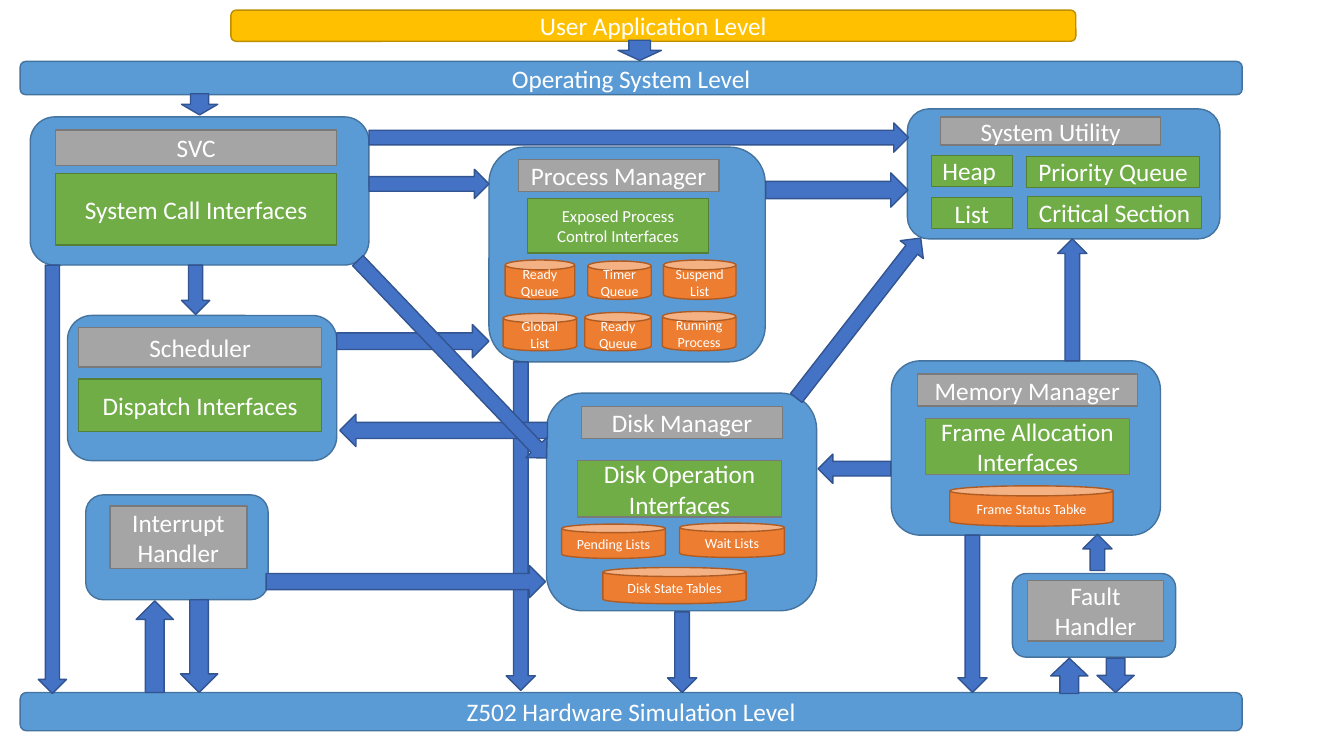
from pptx import Presentation
from pptx.dml.color import RGBColor
from pptx.enum.shapes import MSO_SHAPE
from pptx.enum.text import MSO_ANCHOR, PP_ALIGN
from pptx.util import Inches, Pt

COLORS = {
    "blue": "5B9BD5", "blue_line": "43739E",
    "gray": "A5A5A5", "gray_line": "7A7A7A",
    "green": "70AD47", "green_line": "538035",
    "orange": "ED7D31", "orange_line": "AF5C24",
    "gold": "FFC000", "gold_line": "BD8E00",
    "arrow": "4472C4", "arrow_line": "325491",
    "white": "FFFFFF",
}

# Style: preset shape, fill, line, text size
STYLES = {
    "panel": (MSO_SHAPE.ROUNDED_RECTANGLE, "blue", "blue_line", 18),
    "user": (MSO_SHAPE.ROUNDED_RECTANGLE, "gold", "gold_line", 18),
    "title": (MSO_SHAPE.RECTANGLE, "gray", "gray_line", 18),
    "interface": (MSO_SHAPE.RECTANGLE, "green", "green_line", 18),
    "small": (MSO_SHAPE.RECTANGLE, "green", "green_line", 12),
    "framed": (MSO_SHAPE.RECTANGLE, "green", "gray_line", 18),
    "store": (MSO_SHAPE.CAN, "orange", "orange_line", 10),
    "down": (MSO_SHAPE.DOWN_ARROW, "arrow", "arrow_line", 18),
    "right": (MSO_SHAPE.RIGHT_ARROW, "arrow", "arrow_line", 18),
}

prs = Presentation()
prs.slide_width, prs.slide_height = Inches(13.33), Inches(7.5)
s = prs.slides.add_slide(prs.slide_layouts[6])


def add_part(style, box, text="", rotation=0):
    preset, fill, line, size = STYLES[style]
    sp = s.shapes.add_shape(preset, *[Inches(v) for v in box])
    sp.shadow.inherit = False
    sp.rotation = rotation
    sp.fill.solid()
    sp.fill.fore_color.rgb = RGBColor.from_string(COLORS[fill])
    sp.line.color.rgb = RGBColor.from_string(COLORS[line])
    sp.line.width = Pt(1)
    if text:
        tf = sp.text_frame
        for name, value in {"word_wrap": True, "vertical_anchor": MSO_ANCHOR.MIDDLE}.items():
            setattr(tf, name, value)
        p = tf.paragraphs[0]
        p.alignment = PP_ALIGN.CENTER
        r = p.add_run()
        r.text = text
        for name, value in {"name": "Calibri", "size": Pt(size)}.items():
            setattr(r.font, name, value)
        r.font.color.rgb = RGBColor.from_string(COLORS["white"])


# Levels
for style, box, text in [
    ("user", (2.29, 0.1, 8.38, 0.31), "User Application Level"),
    ("panel", (0.2, 0.61, 12.12, 0.33), "Operating System Level"),
    ("panel", (0.2, 6.87, 12.12, 0.38), "Z502 Hardware Simulation Level"),
]:
    add_part(style, box, text)

# Modules: panel box, then the parts inside it
modules = [
    ((0.3, 1.16, 3.36, 1.47), [
        ("title", (0.55, 1.29, 2.79, 0.35), "SVC"),
        ("interface", (0.55, 1.72, 2.79, 0.71), "System Call Interfaces"),
    ]),
    ((0.67, 3.13, 2.67, 1.44), [
        ("title", (0.78, 3.25, 2.41, 0.39), "Scheduler"),
        ("interface", (0.78, 3.76, 2.41, 0.52), "Dispatch Interfaces"),
    ]),
    ((0.85, 4.91, 1.81, 1.04), [
        ("title", (1.09, 5.02, 1.36, 0.62), "Interrupt Handler"),
    ]),
    ((4.85, 1.46, 2.74, 2.13), [
        ("title", (5.14, 1.58, 1.99, 0.32), "Process Manager"),
        ("small", (5.23, 1.97, 1.8, 0.54), "Exposed Process Control Interfaces"),
        ("store", (5.01, 2.58, 0.69, 0.39), "Ready Queue"),
        ("store", (5.83, 2.59, 0.63, 0.38), "Timer Queue"),
        ("store", (6.58, 2.58, 0.72, 0.39), "Suspend List"),
        ("store", (4.99, 3.11, 0.73, 0.37), "Global List"),
        ("store", (5.8, 3.1, 0.66, 0.38), "Ready Queue"),
        ("store", (6.57, 3.09, 0.73, 0.39), "Running Process"),
    ]),
    ((9, 1.08, 3.1, 1.29), [
        ("title", (9.33, 1.16, 2.18, 0.28), "System Utility"),
        ("interface", (9.24, 1.54, 0.8, 0.31), "Heap "),
        ("interface", (10.18, 1.55, 1.72, 0.31), "Priority Queue "),
        ("interface", (9.24, 1.96, 0.8, 0.31), "List"),
        ("interface", (10.19, 1.95, 1.73, 0.32), "Critical Section"),
    ]),
    ((5.42, 3.9, 2.68, 2.16), [
        ("title", (5.77, 4.03, 1.99, 0.32), "Disk Manager"),
        ("framed", (5.73, 4.57, 2.02, 0.56), "Disk Operation Interfaces"),
        ("store", (5.57, 5.2, 1.03, 0.34), "Pending Lists"),
        ("store", (6.74, 5.19, 1.04, 0.34), "Wait Lists"),
        ("store", (5.98, 5.63, 1.42, 0.36), "Disk State Tables"),
    ]),
    ((8.84, 3.58, 2.67, 1.73), [
        ("title", (9.1, 3.71, 2.18, 0.32), "Memory Manager"),
        ("framed", (9.18, 4.15, 2.02, 0.56), "Frame Allocation Interfaces"),
        ("store", (9.42, 4.82, 1.62, 0.4), "Frame Status Tabke"),
    ]),
    ((10.04, 5.69, 1.62, 0.83), [
        ("title", (10.19, 5.76, 1.35, 0.6), "Fault Handler"),
    ]),
]
for panel, parts in modules:
    add_part("panel", panel)
    for style, box, text in parts:
        add_part(style, box, text)

# Arrows: style, box before rotation, rotation
arrows = [
    # Between levels and modules
    ("down", (6.13, 0.4, 0.43, 0.2), 0),
    ("down", (1.8, 0.93, 0.36, 0.21), 0),
    ("down", (0.38, 2.63, 0.28, 4.25), 0),
    ("down", (1.35, 5.96, 0.37, 0.91), 180),
    ("down", (1.79, 5.95, 0.37, 0.92), 0),
    ("down", (5.02, 3.59, 0.29, 3.26), 0),
    ("down", (6.62, 6.07, 0.29, 0.8), 0),
    ("down", (9.5, 5.31, 0.29, 1.56), 0),
    ("down", (10.42, 6.53, 0.37, 0.35), 180),
    ("down", (10.88, 6.53, 0.37, 0.34), 0),
    # Between modules
    ("down", (1.8, 2.63, 0.28, 0.49), 0),
    ("down", (6.19, -1.31, 0.29, 5.35), 270),
    ("down", (4.11, 1.23, 0.29, 1.19), 270),
    ("down", (8.13, 1.18, 0.34, 1.41), 270),
    ("down", (3.93, 2.63, 0.33, 1.51), 270),
    ("right", (2.64, 5.61, 2.77, 0.32), 0),
    ("right", (3.37, 4.11, 2.06, 0.32), 180),
    ("down", (8.37, 2.15, 0.29, 2.01), 217.9),
    ("down", (10.49, 2.37, 0.29, 1.21), 180),
    ("down", (10.74, 5.3, 0.29, 0.36), 180),
    ("down", (8.33, 4.29, 0.29, 0.72), 90),
    ("down", (4.34, 2.21, 0.29, 2.71), 316.3),
]
for style, box, rotation in arrows:
    add_part(style, box, rotation=rotation)

prs.save("out.pptx")
